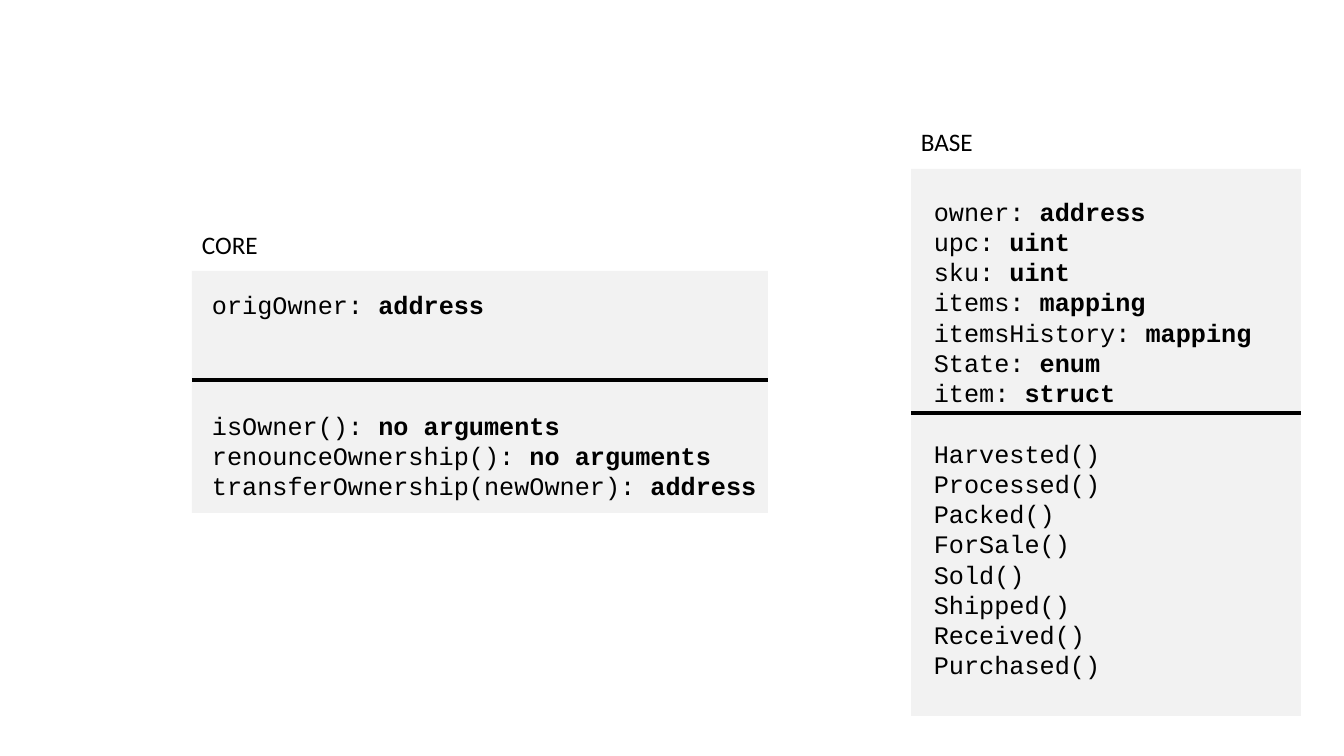
from lxml.etree import SubElement
from pptx import Presentation
from pptx.dml.color import RGBColor
from pptx.enum.shapes import MSO_CONNECTOR, MSO_SHAPE
from pptx.oxml.ns import qn
from pptx.util import Pt

CLASSES = [
    dict(
        title="CORE", title_box=(192, 224, 114, 40), card=(192, 271, 576, 242),
        divider=380, members_box=(202, 284, 672, 224), gap_lines=3,
        fields=[("origOwner: ", "address")],
        methods=[
            ("isOwner(): ", "no arguments"),
            ("renounceOwnership(): ", "no arguments"),
            ("transferOwnership(newOwner): ", "address"),
        ],
    ),
    dict(
        title="BASE", title_box=(911, 121, 115, 41), card=(911, 169, 390, 547),
        divider=413, members_box=(924, 191, 676, 508), gap_lines=1,
        fields=[
            ("owner: ", "address"), ("upc: ", "uint"), ("sku: ", "uint"),
            ("items: ", "mapping"), ("itemsHistory: ", "mapping"),
            ("State: ", "enum"), ("item: ", "struct"),
        ],
        methods=[(name + "()",) for name in (
            "Harvested", "Processed", "Packed", "ForSale",
            "Sold", "Shipped", "Received", "Purchased")],
    ),
]
THEME = dict(
    card=RGBColor(0xF2, 0xF2, 0xF2), ink=RGBColor(0, 0, 0),
    title_font="Calibri", code_font="Courier New",
    size=Pt(18), leading=Pt(21.6), rule=Pt(3),
)
EMU_PER_PX = 914400 / 100.8


def px(*lengths):
    return [round(length * EMU_PER_PX) for length in lengths]


def write(paragraph, parts, font_name):
    for index, part in enumerate(parts):
        run = paragraph.add_run()
        run.text = part
        run.font.name = font_name
        run.font.size = THEME["size"]
        run.font.bold = index == 1
        run.font.color.rgb = THEME["ink"]


def add_text(group, box, lines, font_name):
    frame = group.shapes.add_textbox(*px(*box)).text_frame
    frame.word_wrap = True
    paragraphs = [frame.paragraphs[0]] + [frame.add_paragraph() for _ in lines[1:]]
    for paragraph, parts in zip(paragraphs, lines):
        write(paragraph, parts, font_name)
    return paragraphs


def add_class(slide, entry):
    group = slide.shapes.add_group_shape()
    left, top, width, height = entry["card"]
    card = group.shapes.add_shape(MSO_SHAPE.RECTANGLE, *px(left, top, width, height))
    card.shadow.inherit = False
    card.fill.solid()
    card.fill.fore_color.rgb = THEME["card"]
    card.line.fill.background()

    level = entry["divider"]
    divider = group.shapes.add_connector(
        MSO_CONNECTOR.STRAIGHT, *px(left, level, left + width, level))
    divider.line.color.rgb = THEME["ink"]
    divider.line.width = THEME["rule"]
    SubElement(divider._element.spPr, qn("a:effectLst"))

    members = add_text(group, entry["members_box"],
                       entry["fields"] + entry["methods"], THEME["code_font"])
    for member in members:
        member.line_spacing = THEME["leading"]
    first_method = members[len(entry["fields"])]
    first_method.space_before = entry["gap_lines"] * THEME["leading"]
    add_text(group, entry["title_box"], [(entry["title"],)], THEME["title_font"])


deck = Presentation()
deck.slide_width, deck.slide_height = px(1344, 756)
slide = deck.slides.add_slide(deck.slide_layouts[6])
for entry in CLASSES:
    add_class(slide, entry)
deck.save("out.pptx")
